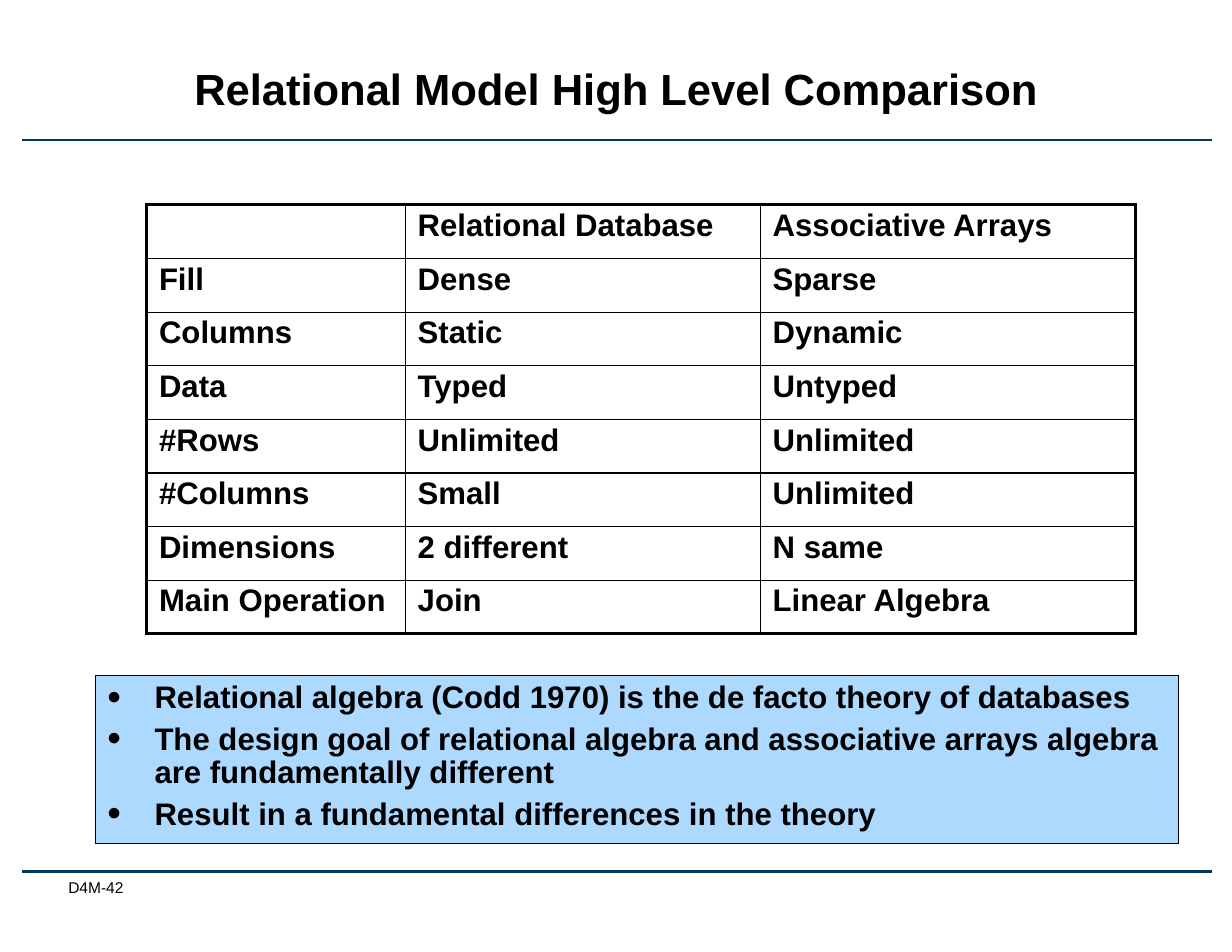
"""Build the slide comparing relational databases with associative arrays."""
from dataclasses import dataclass

from lxml import etree
from pptx import Presentation
from pptx.dml.color import RGBColor
from pptx.enum.shapes import MSO_CONNECTOR, MSO_SHAPE
from pptx.enum.text import MSO_ANCHOR, MSO_AUTO_SIZE, PP_ALIGN
from pptx.oxml.ns import qn
from pptx.util import Inches, Pt

STRAIGHT, RECTANGLE = MSO_CONNECTOR.STRAIGHT, MSO_SHAPE.RECTANGLE
TOP, MIDDLE = MSO_ANCHOR.TOP, MSO_ANCHOR.MIDDLE
LEFT, CENTER = PP_ALIGN.LEFT, PP_ALIGN.CENTER
NO_FIT = MSO_AUTO_SIZE.NONE

TITLE = "Relational Model High Level Comparison"
COMPARISON = [
    ("", "Relational Database", "Associative Arrays"),
    ("Fill", "Dense", "Sparse"),
    ("Columns", "Static", "Dynamic"),
    ("Data", "Typed", "Untyped"),
    ("#Rows", "Unlimited", "Unlimited"),
    ("#Columns", "Small", "Unlimited"),
    ("Dimensions", "2 different", "N same"),
    ("Main Operation", "Join", "Linear Algebra"),
]
CONCLUSIONS = [
    "Relational algebra (Codd 1970) is the de facto theory of databases",
    "The design goal of relational algebra and associative arrays algebra are fundamentally different",
    "Result in a fundamental differences in the theory",
]
PAGE_LABEL = "D4M-42"


@dataclass(frozen=True)
class Theme:
    """Colours, type sizes and line widths of the slide."""
    font: str = "Arial"
    ink: str = "000000"
    rule: str = "003767"
    panel: str = "AED9FF"
    title_size: int = 28
    body_size: int = 20
    label_size: int = 10
    rule_width: float = 1.75
    panel_width: float = 0.75
    outer_width: float = 2.25
    inner_width: float = 1


THEME = Theme()
SLIDE_SIZE = (11, 8.5)
RULE_SPAN = (0.2, 10.82)
RULE_HEIGHTS = (1.25, 7.78)
TITLE_BOX = (1.13, 0.31, 8.74, 1.01)
TABLE_BOX = (1.31, 1.83, 8.83, 3.83)
COLUMN_WIDTHS = (2.31, 3.17, 3.35)
PANEL_BOX = (0.85, 6.03, 9.67, 1.5)
LABEL_BOX = (0.55, 7.84, 1.31, 0.27)
BULLET_INDENT = 0.42
INSETS = (0.11, 0.06, 0.11, 0.06)
LABEL_INSETS = (0.06, 0, 0, 0)


def inches(values):
    return [Inches(value) for value in values]


def assign(target, values):
    for name, value in values.items():
        setattr(target, name, value)


def set_insets(target, insets):
    names = ("margin_left", "margin_top", "margin_right", "margin_bottom")
    assign(target, dict(zip(names, inches(insets))))


def set_font(paragraph, size, bold=True):
    assign(paragraph.font, {"name": THEME.font, "size": Pt(size), "bold": bold})
    paragraph.font.color.rgb = RGBColor.from_string(THEME.ink)


def set_frame(frame, insets, anchor):
    assign(frame, {"word_wrap": True, "auto_size": NO_FIT, "vertical_anchor": anchor})
    set_insets(frame, insets)


def set_line(line, colour, width):
    line.color.rgb = RGBColor.from_string(colour)
    line.width = Pt(width)


def add_rules(slide):
    start, end = RULE_SPAN
    for height in RULE_HEIGHTS:
        rule = slide.shapes.add_connector(STRAIGHT, *inches((start, height, end, height)))
        set_line(rule.line, THEME.rule, THEME.rule_width)
        etree.SubElement(rule._element.spPr, qn("a:effectLst"))


def add_title(slide):
    title = slide.shapes.title
    assign(title, dict(zip(("left", "top", "width", "height"), inches(TITLE_BOX))))
    title.text_frame.text = TITLE
    set_frame(title.text_frame, INSETS, MIDDLE)
    heading = title.text_frame.paragraphs[0]
    assign(heading, {"alignment": CENTER, "line_spacing": Pt(30)})
    set_font(heading, THEME.title_size)


def set_borders(cell, widths):
    properties = cell._tc.get_or_add_tcPr()
    for position, (side, width) in enumerate(widths.items()):
        border = etree.Element(qn(f"a:ln{side}"), w=str(Pt(width)))
        fill = etree.SubElement(border, qn("a:solidFill"))
        etree.SubElement(fill, qn("a:srgbClr"), val=THEME.ink)
        properties.insert(position, border)


def add_comparison(slide):
    row_count, column_count = len(COMPARISON), len(COLUMN_WIDTHS)
    table = slide.shapes.add_table(row_count, column_count, *inches(TABLE_BOX)).table
    assign(table, {"first_row": False, "horz_banding": False})
    for column, width in zip(table.columns, COLUMN_WIDTHS):
        column.width = Inches(width)
    for row, entries in enumerate(COMPARISON):
        for column, entry in enumerate(entries):
            cell = table.cell(row, column)
            cell.text = entry
            cell.vertical_anchor = TOP
            set_insets(cell, INSETS)
            cell.fill.background()
            paragraph = cell.text_frame.paragraphs[0]
            paragraph.line_spacing = 0.9
            set_font(paragraph, THEME.body_size)
            on_edge = {"L": column == 0, "R": column == column_count - 1,
                       "T": row == 0, "B": row == row_count - 1}
            set_borders(cell, {side: THEME.outer_width if edge else THEME.inner_width
                               for side, edge in on_edge.items()})


def add_conclusions(slide):
    panel = slide.shapes.add_shape(RECTANGLE, *inches(PANEL_BOX))
    panel.shadow.inherit = False
    panel.fill.solid()
    panel.fill.fore_color.rgb = RGBColor.from_string(THEME.panel)
    set_line(panel.line, THEME.ink, THEME.panel_width)
    frame = panel.text_frame
    set_frame(frame, INSETS, TOP)
    frame.text = "\n".join(CONCLUSIONS)
    for order, paragraph in enumerate(frame.paragraphs):
        assign(paragraph, {"alignment": LEFT, "line_spacing": 0.9,
                           "space_before": Pt(THEME.body_size / 4 if order else 0)})
        properties = paragraph._p.get_or_add_pPr()
        properties.set("marL", str(Inches(BULLET_INDENT)))
        properties.set("indent", str(-Inches(BULLET_INDENT)))
        etree.SubElement(properties, qn("a:buSzPct"), val="125000")
        etree.SubElement(properties, qn("a:buFont"), typeface=THEME.font)
        etree.SubElement(properties, qn("a:buChar"), char="•")
        set_font(paragraph, THEME.body_size)


def add_page_label(slide):
    frame = slide.shapes.add_textbox(*inches(LABEL_BOX)).text_frame
    frame.text = PAGE_LABEL
    set_frame(frame, LABEL_INSETS, TOP)
    set_font(frame.paragraphs[0], THEME.label_size, bold=False)


def main():
    deck = Presentation()
    assign(deck, dict(zip(("slide_width", "slide_height"), inches(SLIDE_SIZE))))
    slide = deck.slides.add_slide(deck.slide_layouts.get_by_name("Title Only"))
    for add_part in (add_rules, add_page_label, add_title, add_conclusions, add_comparison):
        add_part(slide)
    deck.save("out.pptx")


if __name__ == "__main__":
    main()
